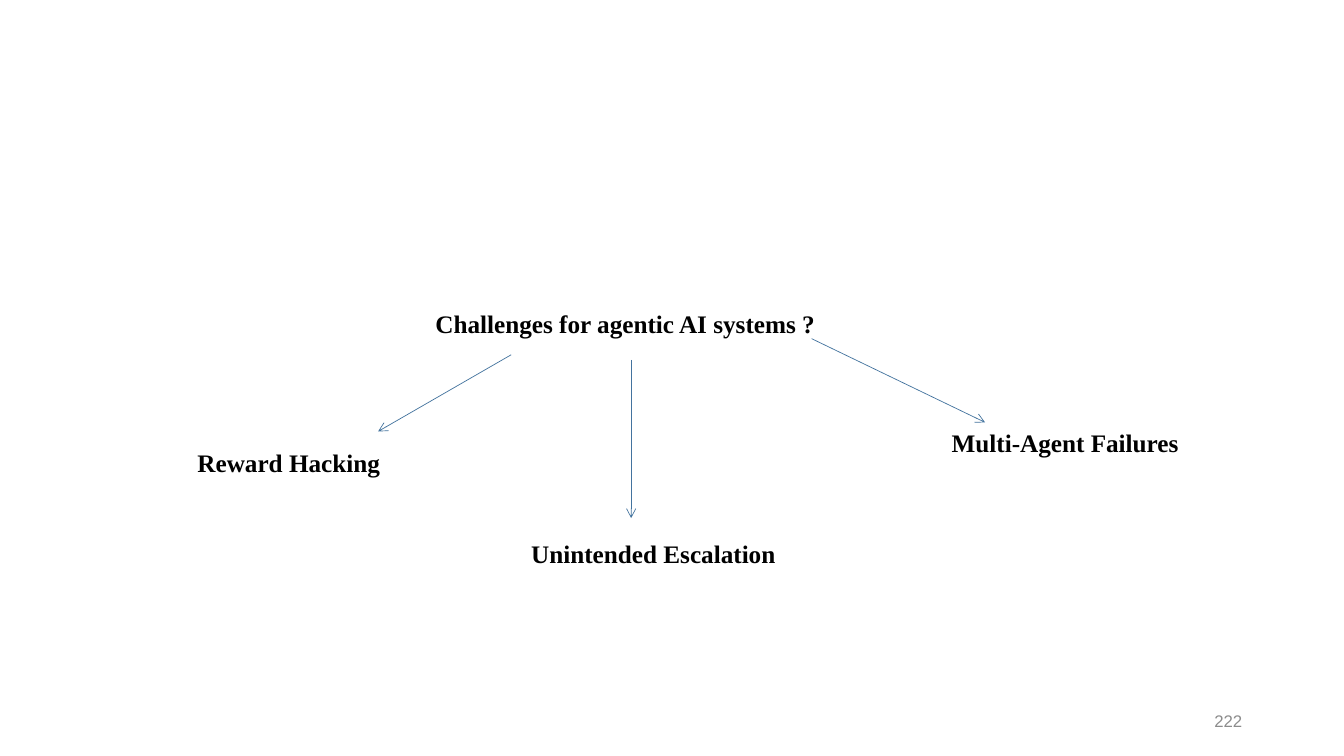
"""Build a slide on the challenges for agentic AI systems."""
from lxml import etree
from pptx import Presentation
from pptx.dml.color import RGBColor
from pptx.enum.shapes import MSO_CONNECTOR
from pptx.enum.text import MSO_ANCHOR as ANCHOR, PP_ALIGN as ALIGN
from pptx.oxml.ns import qn
from pptx.util import Inches, Pt


def color(value):
    return RGBColor.from_string(value)


def add_text(text, left, top, width, size=18, font="Times New Roman", fill="000000",
             bold=True, align=ALIGN.LEFT, anchor=ANCHOR.TOP):
    sp = s.shapes.add_textbox(Inches(left), Inches(top), Inches(width), Inches(0.4))
    tf = sp.text_frame
    tf.word_wrap = True
    tf.vertical_anchor = anchor
    p = tf.paragraphs[0]
    p.alignment = align
    r = p.add_run()
    r.text = text
    r.font.size = Pt(size)
    r.font.name = font
    r.font.bold = bold
    r.font.color.rgb = color(fill)


prs = Presentation()
prs.slide_width = Inches(13.33)
prs.slide_height = Inches(7.5)
s = prs.slides.add_slide(prs.slide_layouts[6])

labels = [
    ("Challenges for agentic AI systems ?", 4.22, 3.01, 5.12),
    ("Reward Hacking", 1.86, 4.39, 2.09),
    ("Unintended Escalation", 5.17, 5.29, 2.7),
    ("Multi-Agent Failures", 9.34, 4.19, 2.54),
]
for text, left, top, width in labels:
    add_text(text, left, top, width)

arrows = [
    (5.07, 3.52, 3.75, 4.28),
    (6.26, 3.57, 6.26, 5.14),
    (8.05, 3.36, 9.77, 4.19),
]
for ends in arrows:
    arrow = s.shapes.add_connector(MSO_CONNECTOR.STRAIGHT, *map(Inches, ends))
    arrow.line.color.rgb = color("43739E")
    arrow.line.width = Pt(0.5)
    etree.SubElement(arrow.line._get_or_add_ln(), qn("a:tailEnd"), type="arrow")
    etree.SubElement(arrow._element.spPr, qn("a:effectLst"))

add_text("222", 9.42, 6.95, 3, size=12, font="Arial", fill="8C8C8C", bold=False,
         align=ALIGN.RIGHT, anchor=ANCHOR.MIDDLE)

prs.save("out.pptx")
